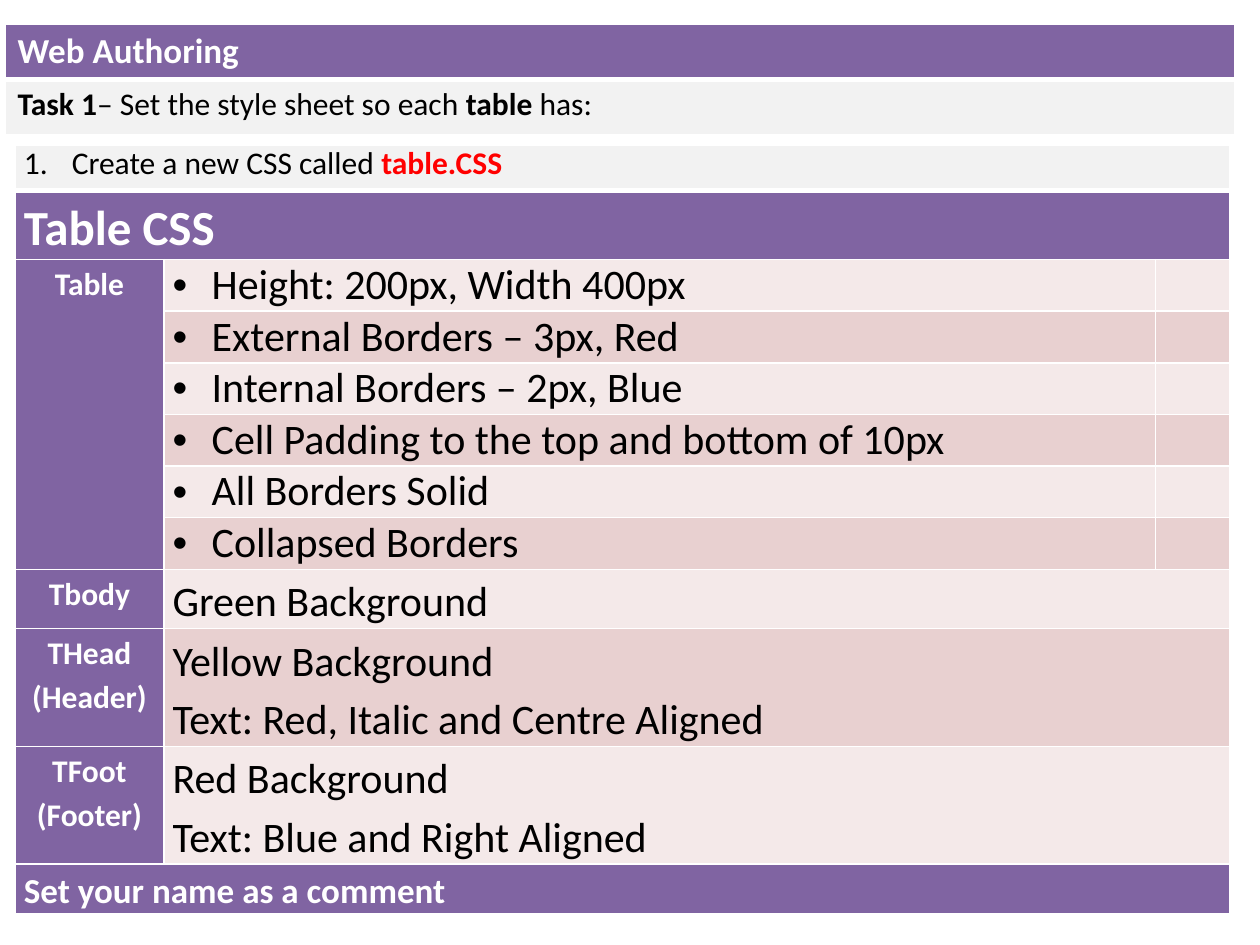
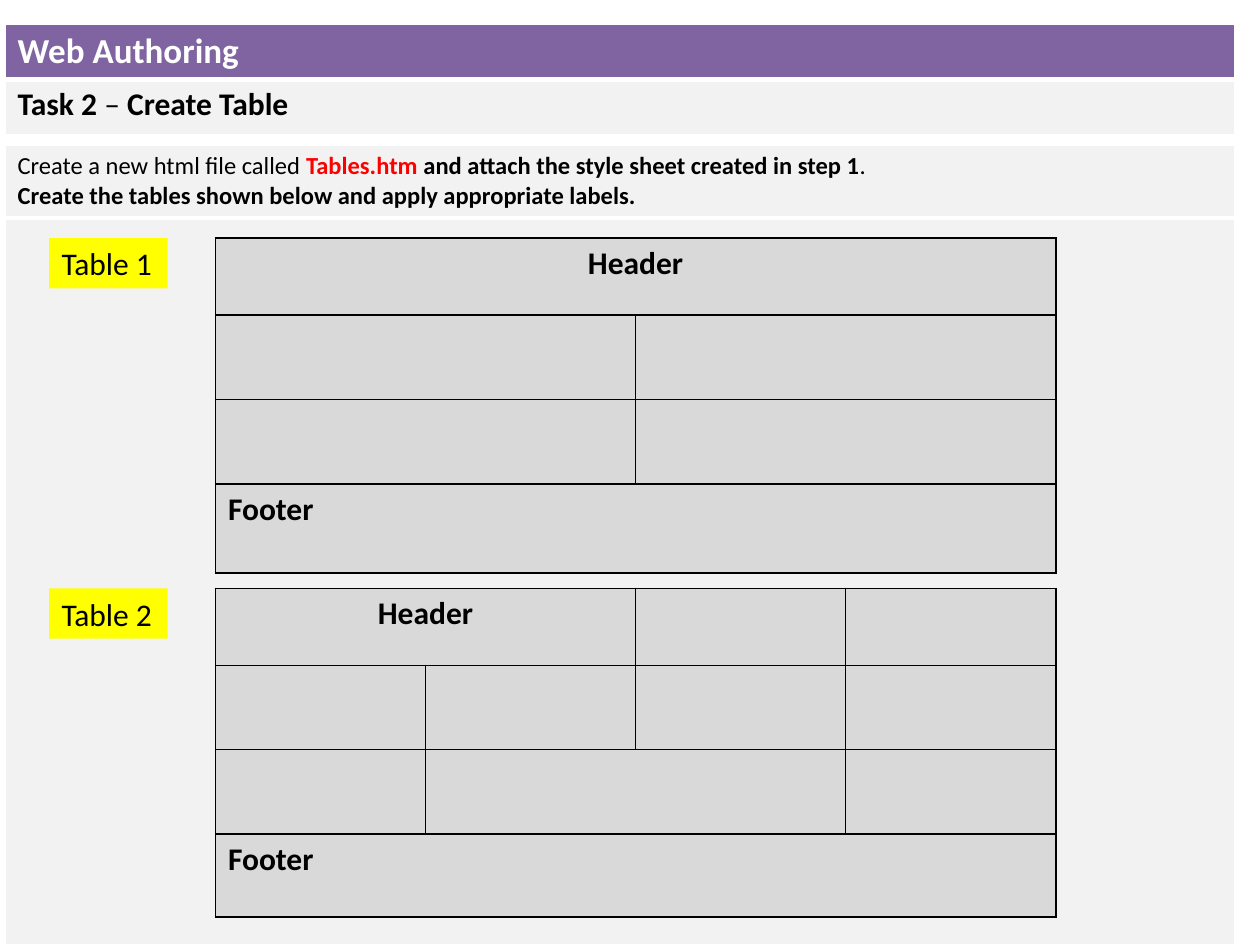
import pptx
import pptx.dml.color
import pptx.enum.shapes
import pptx.enum.text
import pptx.oxml.ns
import pptx.util
from lxml import etree

PURPLE, PALE, GREY = "8064A2", "F2F2F2", "D9D9D9"
WHITE, BLACK, RED, YELLOW = "FFFFFF", "000000", "FF0000", "FFFF00"
BANDS = ("F4E9E9", "E8D0D0")
LEFT, CENTRE = pptx.enum.text.PP_ALIGN.LEFT, pptx.enum.text.PP_ALIGN.CENTER
colour = pptx.dml.color.RGBColor.from_string
qualified = pptx.oxml.ns.qn
inches = pptx.util.Inches


def write_text(frame, lines, size=18, align=LEFT, spacing=None, bullet=None, indent=0):
    """Each line is a list of runs: (text, bold, colour)."""
    for index, line in enumerate(lines):
        paragraph = frame.add_paragraph() if index else frame.paragraphs[0]
        paragraph.alignment = align
        if spacing:
            paragraph.line_spacing = spacing
        if bullet:
            properties = paragraph._p.get_or_add_pPr()
            properties.set("marL", str(inches(indent)))
            properties.set("indent", str(-inches(indent)))
            if bullet == "number":
                etree.SubElement(properties, qualified("a:buAutoNum"), type="arabicPeriod")
            else:
                etree.SubElement(properties, qualified("a:buFont"), typeface="Arial")
                etree.SubElement(properties, qualified("a:buChar"), char=bullet)
        for text, bold, hex_colour in line:
            run = paragraph.add_run()
            run.text = text
            run.font.name = "Calibri"
            run.font.size = pptx.util.Pt(size)
            run.font.bold = bold
            run.font.color.rgb = colour(hex_colour)


def add_grid(slide, left, top, widths, heights, cells, fill=GREY, line=BLACK,
             margins=(0.1, 0.05), heavy_row=None):
    """Cells maps (row, column) to fill, span (rows, columns), lines and text style."""
    frame = slide.shapes.add_table(len(heights), len(widths), inches(left), inches(top),
                                   inches(sum(widths)), inches(sum(heights)))
    table = frame.table
    table.first_row = table.horz_banding = False
    for column, width in zip(table.columns, widths):
        column.width = inches(width)
    for row, height in zip(table.rows, heights):
        row.height = inches(height)
    for row in range(len(heights)):
        for column in range(len(widths)):
            cell = table.cell(row, column)
            style = dict(cells.get((row, column), {}))
            cell.margin_left = cell.margin_right = inches(margins[0])
            cell.margin_top = cell.margin_bottom = inches(margins[1])
            # Borders come before the fill in the cell properties
            for side in ("lnL", "lnR", "lnT", "lnB"):
                heavy = (row, side) in ((heavy_row, "lnB"),) or (
                    heavy_row is not None and (row, side) == (heavy_row + 1, "lnT"))
                border = etree.SubElement(cell._tc.get_or_add_tcPr(), qualified("a:" + side),
                                          w=str(pptx.util.Pt(3 if heavy else 1)))
                solid = etree.SubElement(border, qualified("a:solidFill"))
                etree.SubElement(solid, qualified("a:srgbClr"), val=line)
            cell.fill.solid()
            cell.fill.fore_color.rgb = colour(style.pop("fill", fill))
            rows, columns = style.pop("span", (1, 1))
            if (rows, columns) != (1, 1):
                cell.merge(table.cell(row + rows - 1, column + columns - 1))
            if style:
                write_text(cell.text_frame, **style)


presentation = pptx.Presentation()
presentation.slide_width, presentation.slide_height = inches(10), inches(7.5)
PAGE_LEFT, PAGE_WIDTH, BODY_TOP = 0.04, 9.76, 1.15

# Title band and task line on both slides
tasks = [
    [("Task 1", True, BLACK), ("– Set the style sheet so each ", False, BLACK),
     ("table", True, BLACK), (" has:", False, BLACK)],
    [("Task 2 ", True, BLACK), ("– ", False, BLACK), ("Create Table", True, BLACK)],
]
slides = []
for task in tasks:
    slide = presentation.slides.add_slide(presentation.slide_layouts[6])
    slides.append(slide)
    add_grid(slide, PAGE_LEFT, 0.19, [PAGE_WIDTH], [0.43, 0.44], {
        (0, 0): dict(fill=PURPLE, lines=[[("Web Authoring", True, WHITE)]], size=20),
        (1, 0): dict(lines=[task]),
    }, fill=PALE, line=WHITE, heavy_row=0)
style_slide, table_slide = slides

# Slide 1: style sheet checklist
requirements = ["Height: 200px, Width 400px", "External Borders – 3px, Red",
                "Internal Borders – 2px, Blue", "Cell Padding to the top and bottom of 10px",
                "All Borders Solid", "Collapsed Borders"]
sections = [
    (["Tbody"], ["Green Background"]),
    (["THead", "(Header)"], ["Yellow Background", "Text: Red, Italic and Centre Aligned"]),
    (["TFoot", "(Footer)"], ["Red Background", "Text: Blue and Right Aligned"]),
]
label_style = dict(fill=PURPLE, align=CENTRE, spacing=1.15)
checklist = {
    (0, 0): dict(fill=PALE, span=(1, 3), bullet="number", indent=0.38,
                 lines=[[("Create a new CSS called ", False, BLACK), ("table.CSS", True, RED)]]),
    (1, 0): dict(fill=PURPLE, span=(1, 3), size=28, spacing=1.15,
                 lines=[[("Table CSS", True, WHITE)]]),
    (2, 0): dict(label_style, span=(len(requirements), 1), lines=[[("Table", True, WHITE)]]),
}
for index, requirement in enumerate(requirements):
    band = BANDS[index % 2]
    checklist[2 + index, 1] = dict(fill=band, size=24, bullet="•", indent=0.31,
                                   lines=[[(requirement, False, BLACK)]])
    checklist[2 + index, 2] = dict(fill=band, lines=[])
first_section = 2 + len(requirements)
for index, (labels, rules) in enumerate(sections):
    checklist[first_section + index, 0] = dict(
        label_style, lines=[[(label, True, WHITE)] for label in labels])
    checklist[first_section + index, 1] = dict(
        fill=BANDS[index % 2], span=(1, 2), size=24, spacing=1.15,
        lines=[[(rule, False, BLACK)] for rule in rules])
checklist[first_section + len(sections), 0] = dict(
    fill=PURPLE, span=(1, 3), size=20, spacing=1.15,
    lines=[[("Set your name as a comment", True, WHITE)]])
add_grid(style_slide, 0.12, BODY_TOP, [1.18, 7.87, 0.59],
         [0.36, 0.55] + [0.41] * len(requirements) + [0.47, 0.93, 0.93, 0.39],
         checklist, fill=PURPLE, line=WHITE, margins=(0.07, 0), heavy_row=0)

# Slide 2: instructions above a pale panel
add_grid(table_slide, PAGE_LEFT, BODY_TOP, [PAGE_WIDTH], [0.58, 5.77], {
    (0, 0): dict(size=14, lines=[
        [("Create a new html file called ", False, BLACK), ("Tables.htm", True, RED),
         (" and attach the style sheet created in step 1", True, BLACK), (".", False, BLACK)],
        [("Create the tables shown below and apply appropriate labels.", True, BLACK)]]),
}, fill=PALE, line=WHITE, heavy_row=0)

# Slide 2: two sample tables with their labels
TABLE_WIDTH = 6.67
header = dict(span=(1, 2), align=CENTRE, lines=[[("Header", True, BLACK)]])
footer = dict(lines=[[("Footer", True, BLACK)]])
samples = [
    ("Table 1", 1.89, 2, 0.71, {}),
    ("Table 2", 4.67, 4, 0.66, {(2, 1): dict(span=(1, 2), lines=[])}),
]
for label, top, columns, footer_height, merged in samples:
    add_grid(table_slide, 1.71, top, [TABLE_WIDTH / columns] * columns,
             [0.61, 0.67, 0.67, footer_height],
             {(0, 0): header, (3, 0): dict(footer, span=(1, columns)), **merged})
    shape = table_slide.shapes.add_shape(pptx.enum.shapes.MSO_SHAPE.RECTANGLE, inches(0.39),
                                         inches(top), inches(0.94), inches(0.4))
    shape.shadow.inherit = False
    shape.fill.solid()
    shape.fill.fore_color.rgb = colour(YELLOW)
    shape.line.fill.background()
    shape.text_frame.word_wrap = False
    shape.text_frame.vertical_anchor = pptx.enum.text.MSO_ANCHOR.TOP
    write_text(shape.text_frame, [[(label, False, BLACK)]])

presentation.save("out.pptx")
